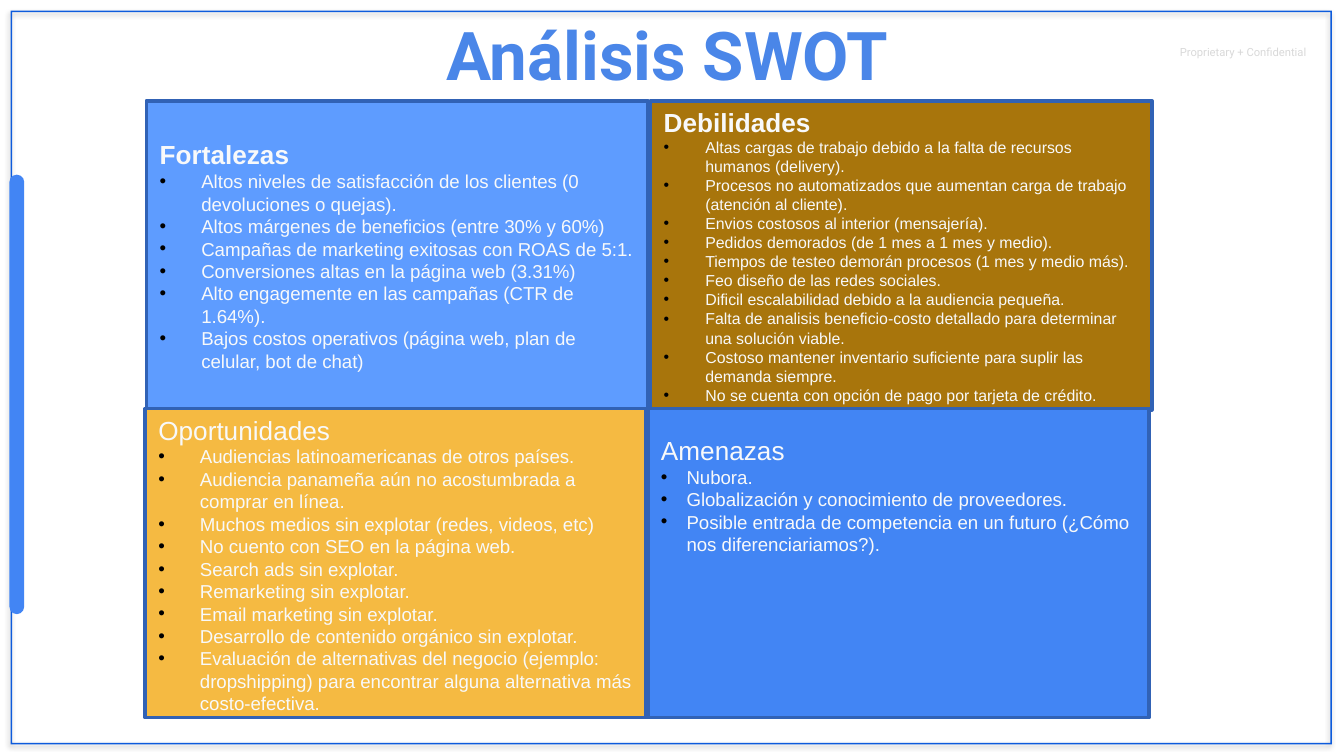
"""Build the SWOT analysis slide."""
from lxml.etree import SubElement
from pptx import Presentation
from pptx.dml.color import RGBColor
from pptx.enum.shapes import MSO_SHAPE as Shape
from pptx.enum.text import MSO_ANCHOR as Anchor, MSO_AUTO_SIZE as AutoSize, PP_ALIGN as Align
from pptx.oxml.ns import qn
from pptx.util import Inches, Pt

COLORS = {
    "frame": "0D5BDC", "title": "4A86E8", "note": "D9D9D9", "blue": "4285F4",
    "strength": "5E9CFF", "weakness": "A8750C", "opportunity": "F5BA42",
    "border": "3162B5", "text": "F8F9FA", "bullet": "000000",
}
QUADRANT_SIZE = (3.73, 2.3)
QUADRANTS = [
    dict(at=(1.09, 0.75), fill="strength", heading="Fortalezas", bold=True, items=[
        "Altos niveles de satisfacción de los clientes (0 devoluciones o quejas).",
        "Altos márgenes de beneficios (entre 30% y 60%)",
        "Campañas de marketing exitosas con ROAS de 5:1.",
        "Conversiones altas en la página web (3.31%)",
        "Alto engagemente en las campañas (CTR de 1.64%).",
        "Bajos costos operativos (página web, plan de celular, bot de chat)",
    ]),
    dict(at=(4.84, 0.75), fill="weakness", heading="Debilidades", bold=True, size=8.5, items=[
        "Altas cargas de trabajo debido a la falta de recursos humanos (delivery).",
        "Procesos no automatizados que aumentan carga de trabajo (atención al cliente).",
        "Envios costosos al interior (mensajería).",
        "Pedidos demorados (de 1 mes a 1 mes y medio).",
        "Tiempos de testeo demorán procesos (1 mes y medio más).",
        "Feo diseño de las redes sociales.",
        "Dificil escalabilidad debido a la audiencia pequeña.",
        "Falta de analisis beneficio-costo detallado para determinar una solución viable.",
        "Costoso mantener inventario suficiente para suplir las demanda siempre.",
        "No se cuenta con opción de pago por tarjeta de crédito.",
    ]),
    dict(at=(1.08, 3.04), fill="opportunity", heading="Oportunidades", top=0.04, items=[
        "Audiencias latinoamericanas de otros países.",
        "Audiencia panameña aún no acostumbrada a comprar en línea.",
        "Muchos medios sin explotar (redes, videos, etc)",
        "No cuento con SEO en la página web.",
        "Search ads sin explotar.",
        "Remarketing sin explotar.",
        "Email marketing sin explotar.",
        "Desarrollo de contenido orgánico sin explotar.",
        "Evaluación de alternativas del negocio (ejemplo: dropshipping) "
        "para encontrar alguna alternativa más costo-efectiva.",
    ]),
    dict(at=(4.82, 3.04), fill="blue", heading="Amenazas", top=0.19, indent=0.19, items=[
        "Nubora.",
        "Globalización y conocimiento de proveedores.",
        "Posible entrada de competencia en un futuro (¿Cómo nos diferenciariamos?).",
    ]),
]


def rgb(name):
    return RGBColor.from_string(COLORS[name])


def add_bullet(para, indent):
    props = para._p.get_or_add_pPr()
    props.set("marL", str(Inches(indent)))
    props.set("indent", str(-Inches(indent)))
    color = SubElement(props, qn("a:buClr"))
    SubElement(color, qn("a:srgbClr"), val=COLORS["bullet"])
    SubElement(props, qn("a:buFont"), typeface="Arial")
    SubElement(props, qn("a:buChar"), char="•")


def write(para, text, *, size, color="text", font="Arial", bold=False, indent=None):
    if indent:
        add_bullet(para, indent)
    para.alignment = Align.LEFT
    span = para.add_run()
    span.text = text
    span.font.name = font
    span.font.size = Pt(size)
    span.font.bold = bold
    span.font.color.rgb = rgb(color)


def set_frame(box, margin, anchor=Anchor.TOP):
    frame = box.text_frame
    frame.word_wrap = True
    frame.auto_size = AutoSize.NONE
    frame.vertical_anchor = anchor
    frame.margin_left = frame.margin_right = Inches(0.1)
    frame.margin_top = frame.margin_bottom = Inches(margin)
    return frame


def add_block(slide, kind, place, fill, border=None):
    block = slide.shapes.add_shape(kind, *map(Inches, place))
    block.shadow.inherit = False
    block.fill.solid()
    block.fill.fore_color.rgb = rgb(fill)
    if border:
        block.line.color.rgb = rgb(border)
        block.line.width = Pt(2)
    else:
        block.line.fill.background()
    return block


def add_shadow(block):
    effects = block._element.spPr.find(qn("a:effectLst"))
    shadow = SubElement(effects, qn("a:outerShdw"), blurRad=str(Pt(3.1)),
                        dist=str(Pt(1.8)), dir="5400000", rotWithShape="0")
    color = SubElement(shadow, qn("a:srgbClr"), val="000000")
    SubElement(color, qn("a:alpha"), val="35000")


def add_decoration(slide):
    border = add_block(slide, Shape.FRAME, (0.08, 0.08, 9.83, 5.46), "frame")
    border.adjustments[0] = 0.002
    add_shadow(border)
    bar = add_block(slide, Shape.ROUNDED_RECTANGLE, (-1.51, 2.88, 3.27, 0.11), "blue")
    bar.adjustments[0] = 0.5
    bar.rotation = 90


def add_title(slide, text):
    title = slide.shapes.title
    title.left, title.top, title.width, title.height = map(Inches, (3.22, 0, 5.4, 0.8))
    frame = set_frame(title, 0.1)
    write(frame.paragraphs[0], text, size=36, color="title", font="Roboto", bold=True)


def add_note(slide, text):
    box = slide.shapes.add_textbox(*map(Inches, (8.68, 0.24, 1.32, 0.33)))
    frame = set_frame(box, 0.1)
    write(frame.paragraphs[0], text, size=6, color="note", font="Roboto")


def add_quadrant(slide, at, fill, heading, items, bold=False, size=10, indent=0.31, top=None):
    box = add_block(slide, Shape.RECTANGLE, at + QUADRANT_SIZE, fill, "border")
    frame = set_frame(box, top or 0.05, Anchor.TOP if top else Anchor.MIDDLE)
    write(frame.paragraphs[0], heading, size=14, bold=bold)
    for item in items:
        write(frame.add_paragraph(), item, size=size, indent=indent)


def main():
    deck = Presentation()
    deck.slide_width = Inches(10)
    deck.slide_height = deck.slide_width * 9 // 16
    slide = deck.slides.add_slide(deck.slide_layouts[5])
    add_note(slide, "Proprietary + Confidential")
    add_decoration(slide)
    add_title(slide, "Análisis SWOT")
    for quadrant in QUADRANTS:
        add_quadrant(slide, **quadrant)
    deck.save("out.pptx")


if __name__ == "__main__":
    main()
